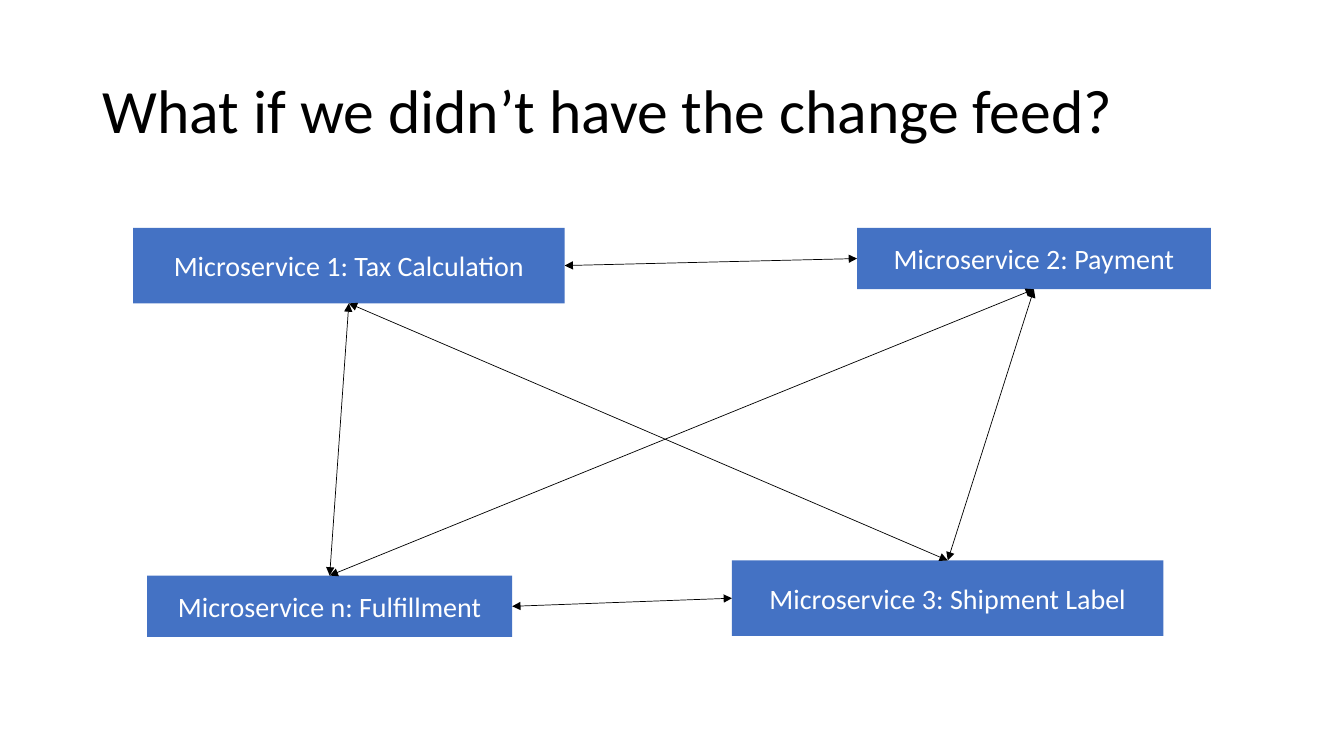
from lxml import etree
from pptx import Presentation
from pptx.dml.color import RGBColor
from pptx.enum.shapes import MSO_CONNECTOR, MSO_SHAPE
from pptx.enum.text import MSO_ANCHOR, PP_ALIGN
from pptx.oxml.ns import qn
from pptx.util import Pt

PX = 9144
RECTANGLE = MSO_SHAPE.RECTANGLE
STRAIGHT = MSO_CONNECTOR.STRAIGHT
MIDDLE = MSO_ANCHOR.MIDDLE
LEFT, CENTER = PP_ALIGN.LEFT, PP_ALIGN.CENTER
TOP_SIDE, LEFT_SIDE, BOTTOM_SIDE, RIGHT_SIDE = range(4)
COLORS = {"title": "000000", "service": "4472C4", "label": "FFFFFF", "arrow": "000000"}

SERVICES = {
    "tax": ("Microservice 1: Tax Calculation", (132, 226, 428, 75)),
    "payment": ("Microservice 2: Payment", (850, 226, 351, 61)),
    "fulfillment": ("Microservice n: Fulfillment", (146, 571, 362, 61)),
    "shipment": ("Microservice 3: Shipment Label", (726, 556, 428, 75)),
}
LINKS = [
    ("tax", RIGHT_SIDE, "payment", LEFT_SIDE),
    ("tax", BOTTOM_SIDE, "fulfillment", TOP_SIDE),
    ("fulfillment", TOP_SIDE, "payment", BOTTOM_SIDE),
    ("fulfillment", RIGHT_SIDE, "shipment", LEFT_SIDE),
    ("shipment", TOP_SIDE, "payment", BOTTOM_SIDE),
    ("shipment", TOP_SIDE, "tax", BOTTOM_SIDE),
]


def color(name):
    return RGBColor.from_string(COLORS[name])


def set_values(target, values):
    for name, value in values.items():
        setattr(target, name, value)


class SlideBuilder:
    font_name = "Calibri"

    def __init__(self, presentation):
        self.slide = presentation.slides.add_slide(presentation.slide_layouts[6])

    def fill_text(self, shape, text, size, color_name, alignment, insets, spacing=1.0):
        horizontal, vertical = (inset * PX for inset in insets)
        set_values(shape.text_frame, {
            "word_wrap": True, "vertical_anchor": MIDDLE,
            "margin_left": horizontal, "margin_right": horizontal,
            "margin_top": vertical, "margin_bottom": vertical,
        })
        paragraph = shape.text_frame.paragraphs[0]
        set_values(paragraph, {"text": text, "alignment": alignment, "line_spacing": spacing})
        set_values(paragraph.font, {"name": self.font_name, "size": Pt(size)})
        paragraph.font.color.rgb = color(color_name)

    def title(self, text, box):
        shape = self.slide.shapes.add_textbox(*(length * PX for length in box))
        self.fill_text(shape, text, 44, "title", LEFT, (10, 5), 0.9)

    def service(self, text, box):
        shape = self.slide.shapes.add_shape(RECTANGLE, *(length * PX for length in box))
        shape.shadow.inherit = False
        shape.fill.solid()
        shape.fill.fore_color.rgb = color("service")
        shape.line.fill.background()
        self.fill_text(shape, text, 20, "label", CENTER, (20, 16))
        return shape

    def double_arrow(self, start, start_side, end, end_side):
        connector = self.slide.shapes.add_connector(STRAIGHT, 0, 0, 0, 0)
        connector.begin_connect(start, start_side)
        connector.end_connect(end, end_side)
        connector.line.width = Pt(0.5)
        connector.line.color.rgb = color("arrow")
        properties = connector.line._get_or_add_ln()
        for tag in ("a:headEnd", "a:tailEnd"):
            etree.SubElement(properties, qn(tag), type="triangle")
        etree.SubElement(properties.getparent(), qn("a:effectLst"))


def main():
    presentation = Presentation()
    set_values(presentation, {"slide_width": 1333 * PX, "slide_height": 750 * PX})
    builder = SlideBuilder(presentation)
    builder.title("What if we didn’t have the change feed?", (92, 40, 1150, 145))
    services = {name: builder.service(*service) for name, service in SERVICES.items()}
    for start, start_side, end, end_side in LINKS:
        builder.double_arrow(services[start], start_side, services[end], end_side)
    presentation.save("out.pptx")


if __name__ == "__main__":
    main()
